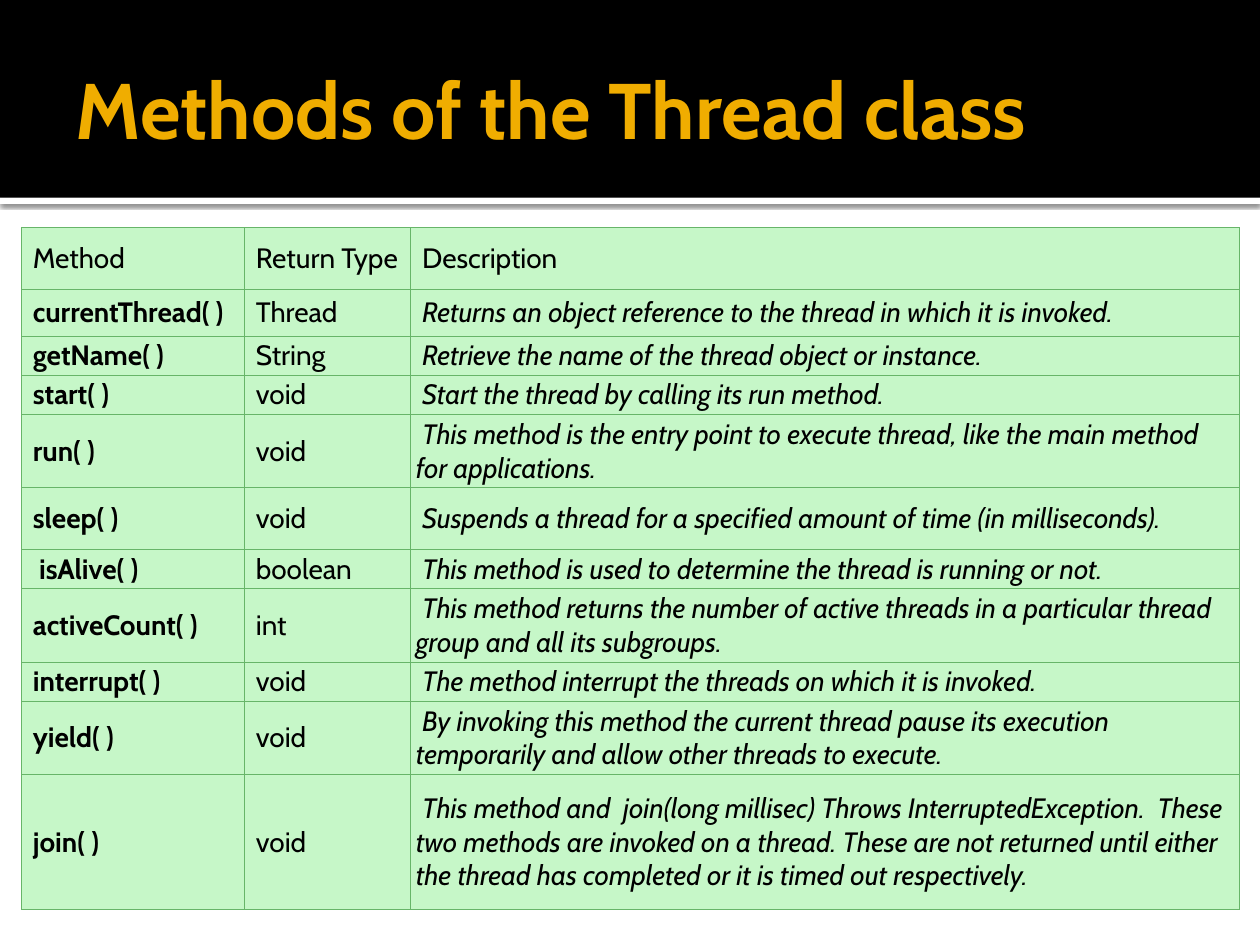
import pptx
import pptx.dml.color
import pptx.enum.shapes
import pptx.enum.text
import pptx.oxml
import pptx.oxml.ns
import pptx.util

Pt = pptx.util.Pt
RGB = pptx.dml.color.RGBColor.from_string
MSO_ANCHOR = pptx.enum.text.MSO_ANCHOR
NS = pptx.oxml.ns.nsdecls("a")

THEME = {
    "font": "Cabin", "title_size": 45, "body_size": 16,
    "title": "F0AD00", "text": "000000", "band": "000000", "rule": "FFFFFF",
    "cell": "C6F7C8", "border": "67B569",
}


def style_font(font, size, color, **flags):
    values = {"name": THEME["font"], "size": Pt(size), **flags}
    for key, value in values.items():
        setattr(font, key, value)
    font.color.rgb = RGB(color)


prs = pptx.Presentation()
prs.slide_width, prs.slide_height = Pt(720), Pt(540)
s = prs.slides.add_slide(prs.slide_layouts[5])

# Header band and the white rule below it, behind the title
bands = [("rule", 113, 3.6), ("band", 0, 113)]
for i, (color, top, height) in enumerate(bands):
    sp = s.shapes.add_shape(pptx.enum.shapes.MSO_SHAPE.RECTANGLE,
                            Pt(0), Pt(top), prs.slide_width, Pt(height))
    sp.shadow.inherit = False
    sp.fill.solid()
    sp.fill.fore_color.rgb = RGB(THEME[color])
    sp.line.fill.background()
    if color == "rule":
        effects = sp._element.spPr.find(pptx.oxml.ns.qn("a:effectLst"))
        effects.append(pptx.oxml.parse_xml(
            f'<a:outerShdw {NS} blurRad="{Pt(2.5)}" dist="{Pt(0.8)}" dir="5400000" '
            'algn="t" rotWithShape="0"><a:srgbClr val="000000">'
            '<a:alpha val="60000"/></a:srgbClr></a:outerShdw>'))
    s.shapes._spTree.insert(2 + i, sp._element)

# Title
title = s.shapes.title
box = {"left": 36, "top": 12.2, "width": 648, "height": 98.6}
for key, value in box.items():
    setattr(title, key, Pt(value))
tf = title.text_frame
tf_format = {
    "margin_left": Pt(7.2), "margin_top": Pt(3.6),
    "margin_right": Pt(3.6), "margin_bottom": Pt(3.6),
    "vertical_anchor": MSO_ANCHOR.MIDDLE, "word_wrap": True,
    "auto_size": pptx.enum.text.MSO_AUTO_SIZE.NONE,
}
for key, value in tf_format.items():
    setattr(tf, key, value)
p = tf.paragraphs[0]
p.alignment = pptx.enum.text.PP_ALIGN.LEFT
r = p.add_run()
r.text = "Methods of the Thread class"
style_font(r.font, THEME["title_size"], THEME["title"], bold=True)

# Table content: row height, method, return type, description
NBSP = " "
rows = [
    (35.4, "Method", "Return Type", "Description"),
    (26.9, "currentThread( )", "Thread",
     "Returns an object reference to the thread in which it is invoked."),
    (22.3, "getName( )", "String",
     "Retrieve the name of the thread object or instance."),
    (22.3, "start( )", "void", "Start the thread by calling its run method."),
    (42, "run( )", "void",
     "This method is the entry point to execute thread, like the main method "
     "for applications."),
    (35.4, "sleep( )", "void",
     "Suspends a thread for a specified amount of time (in milliseconds)."),
    (22.3, " isAlive( )", "boolean",
     "This method is used to determine the thread is running or not."),
    (42, "activeCount( )", "int",
     "This method returns the number of active threads in a particular thread "
     "group and all its subgroups."),
    (22.3, "interrupt( )", "void",
     "The method interrupt the threads on which it is invoked."),
    (42, "yield( )", "void",
     "By invoking this method the current thread pause its execution "
     "temporarily and allow other threads to execute."),
    (77, "join( )", "void",
     f"This method and{NBSP} join(long millisec) Throws InterruptedException.{NBSP} "
     "These two methods are invoked on a thread. These are not returned until "
     "either the thread has completed or it is timed out respectively."),
]
widths = [127.5, 95, 473.5]

# Table
table = s.shapes.add_table(len(rows), len(widths), Pt(12.3), Pt(130), Pt(sum(widths)),
                           Pt(sum(row[0] for row in rows))).table
table.first_row = table.horz_banding = False
for col, width in zip(table.columns, widths):
    col.width = Pt(width)
cell_format = {
    "margin_left": Pt(2.9), "margin_right": Pt(2.9),
    "margin_top": Pt(1.4), "margin_bottom": Pt(1.4),
    "vertical_anchor": MSO_ANCHOR.MIDDLE,
}
for i, (height, *texts) in enumerate(rows):
    table.rows[i].height = Pt(height)
    for j, text in enumerate(texts):
        cell = table.cell(i, j)
        for key, value in cell_format.items():
            setattr(cell, key, value)
        tcPr = cell._tc.get_or_add_tcPr()
        for side in "LRTB":
            tcPr.append(pptx.oxml.parse_xml(
                f'<a:ln{side} {NS} w="{Pt(0.5)}"><a:solidFill>'
                f'<a:srgbClr val="{THEME["border"]}"/></a:solidFill></a:ln{side}>'))
        cell.fill.solid()
        cell.fill.fore_color.rgb = RGB(THEME["cell"])
        r = cell.text_frame.paragraphs[0].add_run()
        r.text = NBSP + text
        style_font(r.font, THEME["body_size"], THEME["text"],
                   bold=i > 0 and j == 0, italic=i > 0 and j == 2)

prs.save("out.pptx")
